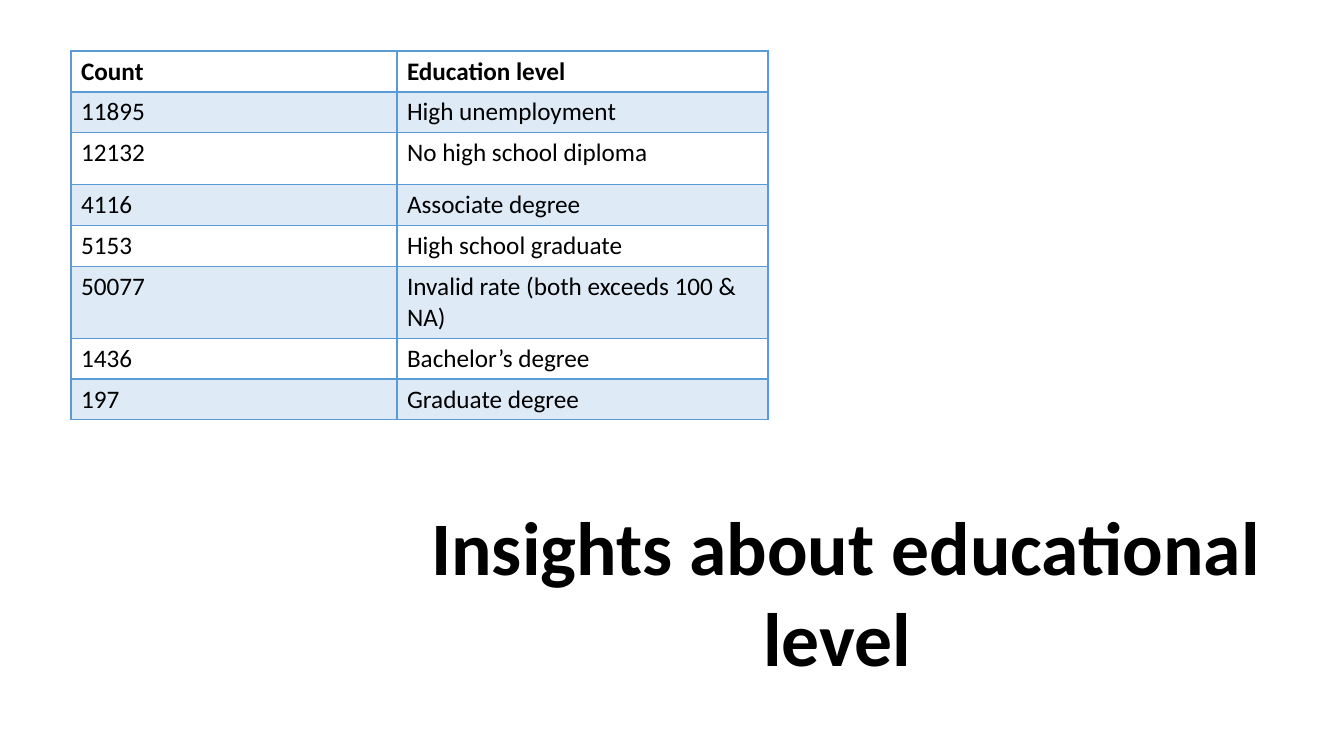
"""Build the slide on counts by education level."""
from typing import NamedTuple

from lxml import etree
from pptx import Presentation
from pptx.dml.color import RGBColor
from pptx.enum import text
from pptx.oxml import ns
from pptx.util import Emu, Pt

SLIDE_WIDTH, SLIDE_HEIGHT = 1344, 756
SCALE = 12192000 / SLIDE_WIDTH
FONT = "Calibri"
BLACK = RGBColor(0x00, 0x00, 0x00)
WHITE = RGBColor(0xFF, 0xFF, 0xFF)
BLUE = RGBColor(0x5B, 0x9B, 0xD5)
PALE_BLUE = RGBColor(0xDE, 0xEB, 0xF7)
COLUMN_WIDTHS = (326, 371)


class Level(NamedTuple):
    """One table row: its two texts and its height in px."""
    count: str
    education: str
    height: int = 29


LEVELS = (
    Level("Count", "Education level"),
    Level("11895", "High unemployment"),
    Level("12132", "No high school diploma", 52),
    Level("4116", "Associate degree"),
    Level("5153", "High school graduate"),
    Level("50077", "Invalid rate (both exceeds 100 & NA)", 52),
    Level("1436", "Bachelor’s degree"),
    Level("197", "Graduate degree"),
)


def px(length: int) -> Emu:
    """Turn px into EMU."""
    return Emu(round(length * SCALE))


def style_runs(paragraph, size: int, bold: bool) -> None:
    """Format every run of a paragraph."""
    for run in paragraph.runs:
        run.font.name = FONT
        run.font.size = Pt(size)
        run.font.bold = bold
        run.font.color.rgb = BLACK


def make_line(tag: str, color: RGBColor, width: float):
    """Return a solid line element."""
    line = etree.Element(ns.qn(tag), w=str(Pt(width)))
    fill = etree.SubElement(line, ns.qn("a:solidFill"))
    etree.SubElement(fill, ns.qn("a:srgbClr"), val=str(color))
    return line


def add_levels(slide) -> None:
    """Draw the table of education levels."""
    table = slide.shapes.add_table(
        len(LEVELS), len(COLUMN_WIDTHS), px(71), px(51),
        px(sum(COLUMN_WIDTHS)), px(sum(level.height for level in LEVELS))).table
    table.horz_banding = False
    for column, width in zip(table.columns, COLUMN_WIDTHS):
        column.width = px(width)
    for index, level in enumerate(LEVELS):
        table.rows[index].height = px(level.height)
        widths = {"L": 1, "R": 1, "T": 2 if index == 1 else 1, "B": 2 if index == 0 else 1}
        for cell, wording in zip(table.rows[index].cells, (level.count, level.education)):
            cell.text_frame.text = wording
            style_runs(cell.text_frame.paragraphs[0], 18, index == 0)
            properties = cell._tc.get_or_add_tcPr()
            for side, width in widths.items():
                properties.append(make_line(f"a:ln{side}", BLUE, width))
            cell.fill.solid()
            cell.fill.fore_color.rgb = PALE_BLUE if index % 2 else WHITE


def add_heading(slide) -> None:
    """Draw the large heading."""
    heading = slide.shapes.add_textbox(px(359), px(495), px(974), px(194)).text_frame
    heading.word_wrap = True
    heading.auto_size = text.MSO_AUTO_SIZE.SHAPE_TO_FIT_TEXT
    heading.text = "Insights about educational level "
    paragraph = heading.paragraphs[0]
    paragraph.alignment = text.PP_ALIGN.CENTER
    style_runs(paragraph, 54, True)
    paragraph.runs[0]._r.get_or_add_rPr().insert(0, make_line("a:ln", WHITE, 0.75))


def main() -> None:
    """Build and save the slide."""
    deck = Presentation()
    deck.slide_width, deck.slide_height = px(SLIDE_WIDTH), px(SLIDE_HEIGHT)
    slide = deck.slides.add_slide(deck.slide_layouts[6])
    add_levels(slide)
    add_heading(slide)
    deck.save("out.pptx")


if __name__ == "__main__":
    main()
